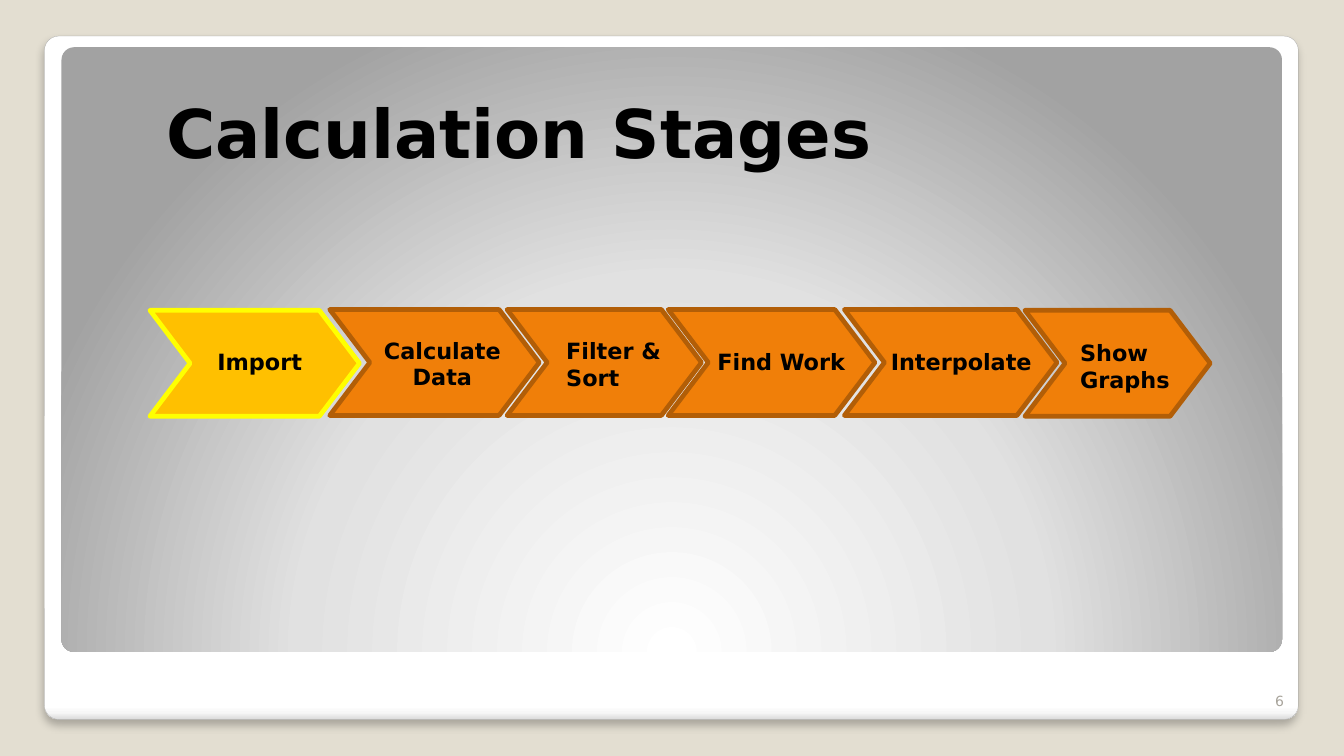
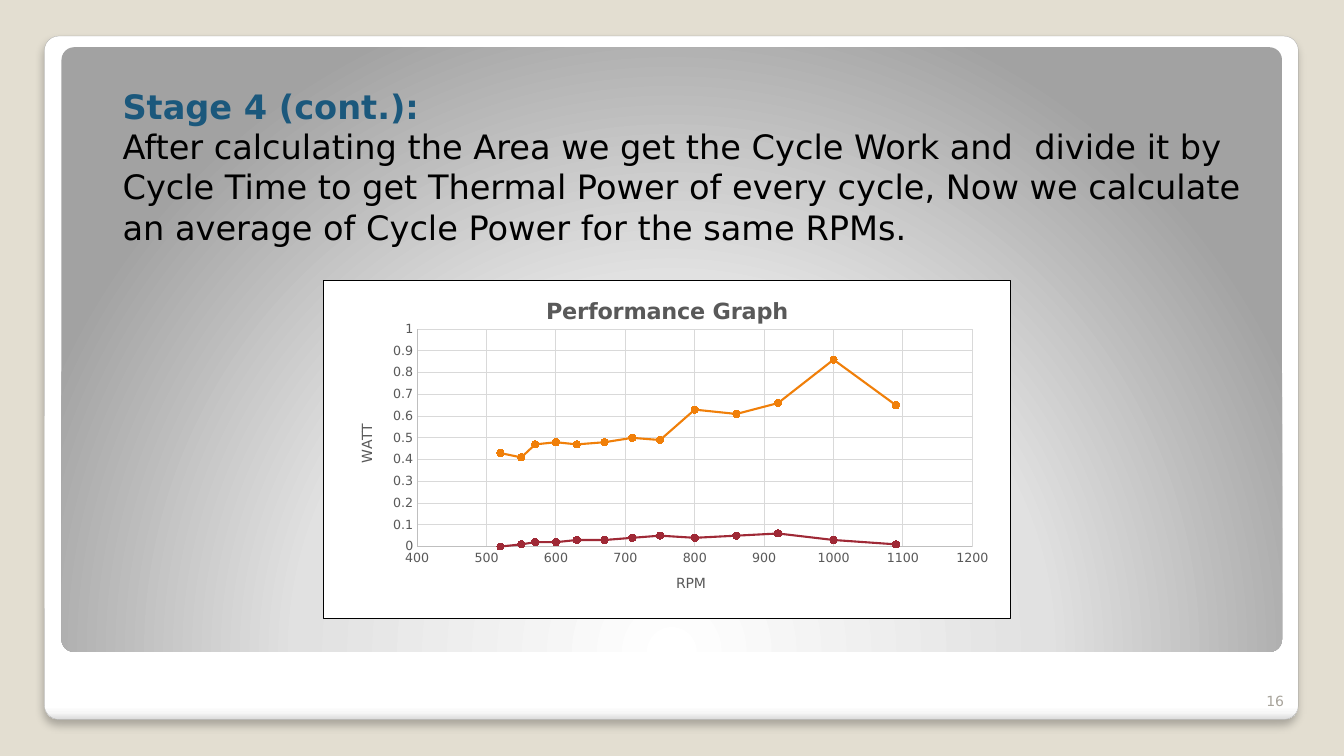
from pptx import Presentation
from pptx.chart.data import XyChartData
from pptx.dml.color import RGBColor
from pptx.enum.chart import XL_CHART_TYPE, XL_MARKER_STYLE, XL_TICK_MARK
from pptx.enum.shapes import MSO_SHAPE
from pptx.enum.text import MSO_ANCHOR, PP_ALIGN
from pptx.oxml import parse_xml
from pptx.oxml.ns import nsdecls, qn
from pptx.util import Cm, Pt

ROUND, CHEVRON = MSO_SHAPE.ROUNDED_RECTANGLE, MSO_SHAPE.CHEVRON
LEFT, CENTER, RIGHT = PP_ALIGN.LEFT, PP_ALIGN.CENTER, PP_ALIGN.RIGHT
TOP, BOTTOM = MSO_ANCHOR.TOP, MSO_ANCHOR.BOTTOM
SCATTER, DOT = XL_CHART_TYPE.XY_SCATTER_LINES, XL_MARKER_STYLE.CIRCLE
NO_TICK = XL_TICK_MARK.NONE

SAND = RGBColor(0xE3, 0xDE, 0xD1)
BLACK = RGBColor(0, 0, 0)
EDGE = RGBColor(0xA4, 0xA4, 0xA4)
BLUE = RGBColor(0x1B, 0x58, 0x7C)
STONE = RGBColor(0xA8, 0xA4, 0x9B)
ORANGE = RGBColor(0xF0, 0x7F, 0x09)
BROWN = RGBColor(0xB2, 0x5E, 0x07)
GOLD = RGBColor(0xFF, 0xC0, 0x00)
YELLOW = RGBColor(0xFF, 0xFF, 0x00)
RED = RGBColor(0x9F, 0x29, 0x36)
GREY = RGBColor(0x59, 0x59, 0x59)
AXIS = RGBColor(0xBF, 0xBF, 0xBF)
GRID = RGBColor(0xD9, 0xD9, 0xD9)

FACE = "DejaVu Sans"
HEAD = dict(size=Pt(48), bold=True)
LABEL = dict(size=Pt(16), bold=True)
LEAD = dict(size=Pt(24), bold=True, color=BLUE)
BODY = dict(size=Pt(24))
PAGE = dict(size=Pt(10), color=STONE)
TICK = dict(size=Pt(9), color=GREY)
NAME = dict(size=Pt(10), color=GREY)
TITLE = dict(size=Pt(16), bold=True, color=GREY)

# Panel gradients: stops, then direction
SHEET = ([(0, "FFFFFF"), (98, "FFFFFF"), (99, "F7F7F7"), (100, "DADADA")],
         '<a:lin ang="5400000" scaled="0"/>')
GLOW = ([(0, "FFFFFF"), (55, "E1E1E1"), (100, "A2A2A2")],
        '<a:path path="circle"><a:fillToRect l="50000" t="175000" '
        'r="50000" b="-75000"/></a:path>')

# Stage: text, chevron x and width, drop, label x, y and width, alignment
STAGES = [
    ("Import", 0, 5.28, 0.02, 1.45, 0.84, 3.4, LEFT),
    ("Calculate\nData", 4.53, 5.28, 0, 0.58, 0.56, 4.52, CENTER),
    ("Filter & Sort", 9, 4.9, 0, 1.24, 0.58, 3.12, LEFT),
    ("Find Work", 13.06, 5.21, 0, 0.99, 0.86, 4.8, LEFT),
    ("Interpolate", 17.5, 5.36, 0, 0.92, 0.84, 4.8, LEFT),
    ("Show Graphs", 22.05, 4.67, 0.02, 1.14, 0.63, 3.38, LEFT),
]

RPM = [520, 550, 570, 600, 630, 670, 710, 750, 800, 860, 920, 1000, 1090]
POWER = [
    ("Series 1", ORANGE, [0.43, 0.41, 0.47, 0.48, 0.47, 0.48, 0.5, 0.49,
                          0.63, 0.61, 0.66, 0.86, 0.65]),
    ("Series 2", RED, [0, 0.01, 0.02, 0.02, 0.03, 0.03, 0.04, 0.05,
                       0.04, 0.05, 0.06, 0.03, 0.01]),
]


def style(font, color=BLACK, **form):
    font.color.rgb = color
    for key, value in {"name": FACE, "bold": False, **form}.items():
        setattr(font, key, value)


def stroke(line, color, width):
    line.color.rgb = color
    line.width = Pt(width)


def write(slide, box, parts, align=LEFT, anchor=TOP):
    """Add a text box; parts are pairs of text and format."""
    frame = slide.shapes.add_textbox(*map(Cm, box)).text_frame
    frame.word_wrap = True
    frame.vertical_anchor = anchor
    for i, (text, form) in enumerate(parts):
        para = frame.add_paragraph() if i else frame.paragraphs[0]
        para.alignment = align
        run = para.add_run()
        run.text = text
        style(run.font, **form)
    return frame


def block(slide, kind, box, adjust):
    shape = slide.shapes.add_shape(kind, *map(Cm, box))
    shape.adjustments[0] = adjust
    shape.shadow.inherit = False
    return shape


def panel(slide, box, blend):
    shape = block(slide, ROUND, box, 0.021)
    shape.fill.background()
    shape.line.fill.background()
    stops, way = blend
    marks = "".join(f'<a:gs pos="{at * 1000}"><a:srgbClr val="{tint}"/></a:gs>'
                    for at, tint in stops)
    props = shape.element.spPr
    props.replace(props.find(qn("a:noFill")), parse_xml(
        f'<a:gradFill {nsdecls("a")} rotWithShape="1">'
        f'<a:gsLst>{marks}</a:gsLst>{way}</a:gradFill>'))
    return shape


def base(deck, number):
    """Add a slide with its background, panels and number."""
    slide = deck.slides.add_slide(deck.slide_layouts[6])
    fill = slide.background.fill
    fill.solid()
    fill.fore_color.rgb = SAND
    sheet = panel(slide, (1.12, 0.91, 31.6, 17.22), SHEET)
    stroke(sheet.line, EDGE, 0.16)
    sheet.element.spPr.find(qn("a:effectLst")).append(parse_xml(
        f'<a:outerShdw {nsdecls("a")} blurRad="{Pt(6)}" dist="{Pt(4)}" '
        'dir="5400000" algn="t" rotWithShape="0"><a:srgbClr val="000000">'
        '<a:alpha val="25000"/></a:srgbClr></a:outerShdw>'))
    panel(slide, (1.55, 1.19, 30.76, 15.24), GLOW)
    write(slide, (30.91, 16.97, 1.7, 1.02), [(number, PAGE)], RIGHT, BOTTOM)
    return slide


def chain(slide, left, top):
    """Draw the row of stages; the first one is lit."""
    for i, (text, x, wide, drop, dx, dy, span, align) in enumerate(STAGES):
        step = block(slide, CHEVRON, (left + x, top + drop, wide, 2.67), 0.379)
        step.fill.solid()
        step.fill.fore_color.rgb = ORANGE if i else GOLD
        stroke(step.line, BROWN if i else YELLOW, 3.35)
        write(slide, (left + x + dx, top + dy, span, 0.94),
              [(line, LABEL) for line in text.split("\n")], align)


def caption(owner, text, form):
    """Title a chart or an axis."""
    para = owner.text_frame.paragraphs[0]
    run = para.add_run()
    run.text = text
    style(run.font, **form)


def scale(axis, text, low, high, unit):
    form = dict(minimum_scale=low, maximum_scale=high, major_unit=unit,
                major_tick_mark=NO_TICK, minor_tick_mark=NO_TICK,
                has_major_gridlines=True, has_title=True)
    for key, value in form.items():
        setattr(axis, key, value)
    style(axis.tick_labels.font, **TICK)
    stroke(axis.format.line, AXIS, 0.75)
    stroke(axis.major_gridlines.format.line, GRID, 0.75)
    caption(axis.axis_title, text, NAME)


def graph(slide, box):
    """Plot power against speed."""
    data = XyChartData()
    for name, _, watts in POWER:
        row = data.add_series(name)
        for point in zip(RPM, watts):
            row.add_data_point(*point)
    chart = slide.shapes.add_chart(SCATTER, *map(Cm, box), data).chart
    style(chart.font, size=Pt(10))
    chart.has_legend = False
    chart.has_title = True
    caption(chart.chart_title, "Performance Graph", TITLE)
    scale(chart.category_axis, "RPM", 400, 1200, 100)
    scale(chart.value_axis, "WATT", 0, 1, 0.1)
    chart.plots[0].vary_by_categories = False
    for row, (_, color, _) in zip(chart.plots[0].series, POWER):
        row.smooth = False
        stroke(row.format.line, color, 1.5)
        mark = row.marker
        mark.style, mark.size = DOT, 5
        mark.format.fill.solid()
        mark.format.fill.fore_color.rgb = color
        stroke(mark.format.line, color, 0.75)

    # White frame with a square black border
    root = chart.element
    body = root.find(qn("c:chart"))
    body.addprevious(parse_xml(
        f'<c:roundedCorners {nsdecls("c")} val="0"/>'))
    body.addnext(parse_xml(
        f'<c:spPr {nsdecls("c", "a")}><a:solidFill><a:srgbClr val="FFFFFF"/>'
        f'</a:solidFill><a:ln w="{Pt(0.75)}"><a:solidFill>'
        '<a:srgbClr val="000000"/></a:solidFill></a:ln></c:spPr>'))

    # Fixed plot area
    area = body.find(qn("c:plotArea"))
    for old in area.findall(qn("c:layout")):
        area.remove(old)
    spots = "".join(f'<c:{key} val="{value}"/>' for key, value in (
        ("layoutTarget", "inner"), ("xMode", "edge"), ("yMode", "edge"),
        ("x", 0.136), ("y", 0.144), ("w", 0.809), ("h", 0.644)))
    area.insert(0, parse_xml(
        f'<c:layout {nsdecls("c")}><c:manualLayout>{spots}'
        '</c:manualLayout></c:layout>'))


def flow(deck):
    slide = base(deck, "6")
    frame = write(slide, (3.43, 2.18, 19.3, 3.07),
                  [("Calculation Stages", HEAD)], CENTER)
    # Thin white outline around the letters
    props = frame.paragraphs[0].runs[0].font._element
    props.insert(0, parse_xml(
        f'<a:ln {nsdecls("a")} w="{Pt(0.75)}"><a:solidFill>'
        '<a:srgbClr val="FFFFFF"/></a:solidFill></a:ln>')) 
    chain(slide, 3.78, 7.8)


def result(deck):
    slide = base(deck, "16")
    write(slide, (2.84, 2.03, 29.34, 4.37), [
        ("Stage 4 (cont.):", LEAD),
        ("After calculating the Area we get the Cycle Work and  divide it by "
         "Cycle Time to get Thermal Power of every cycle, Now we calculate "
         "an average of Cycle Power for the same RPMs.", BODY)])
    graph(slide, (8.15, 7.06, 17.32, 8.53))


def main():
    deck = Presentation()
    deck.slide_width, deck.slide_height = Cm(33.87), Cm(19.05)
    flow(deck)
    result(deck)
    deck.save("out.pptx")


if __name__ == "__main__":
    main()
